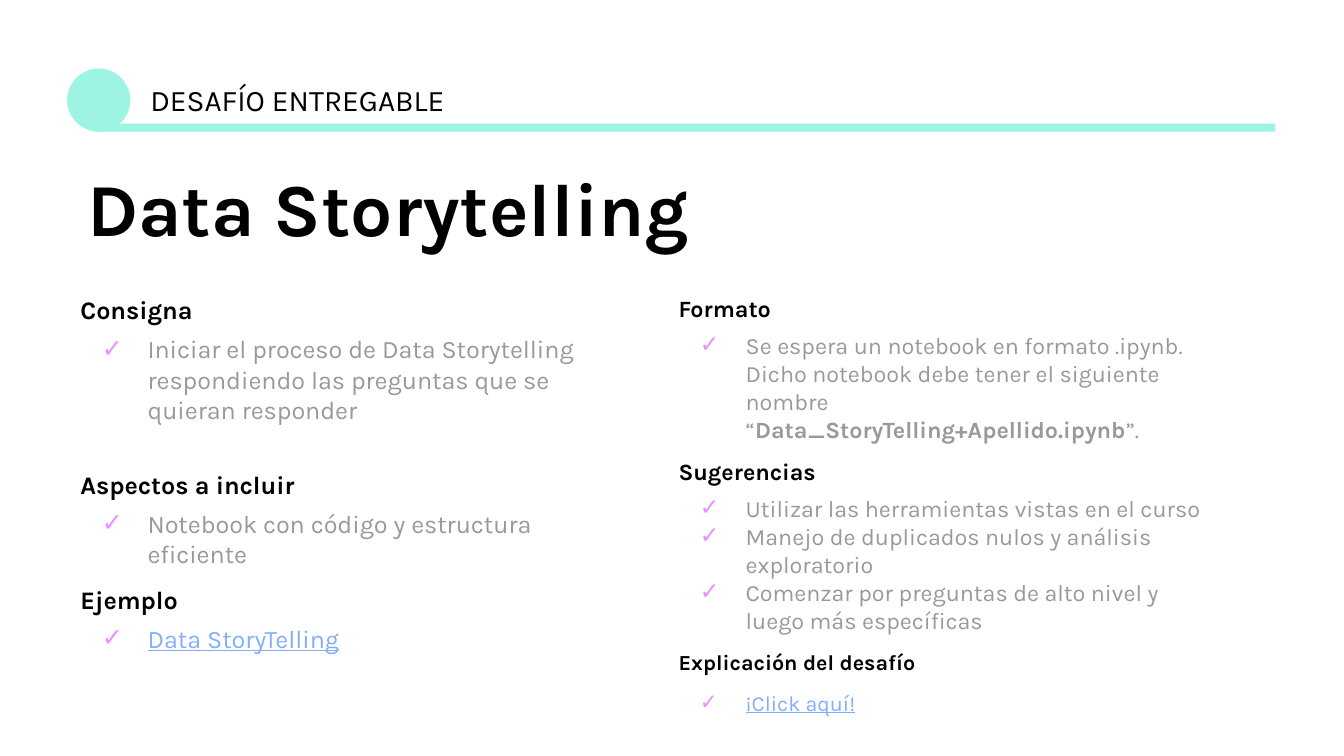
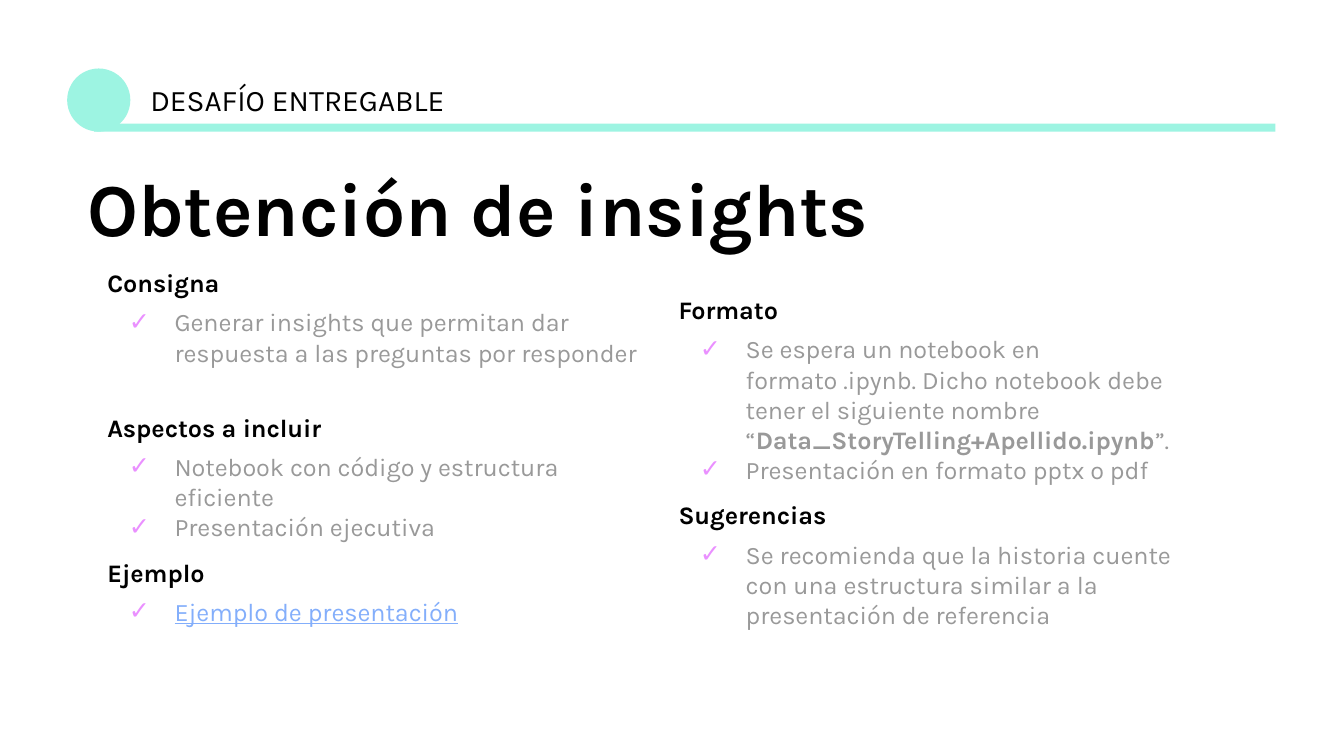
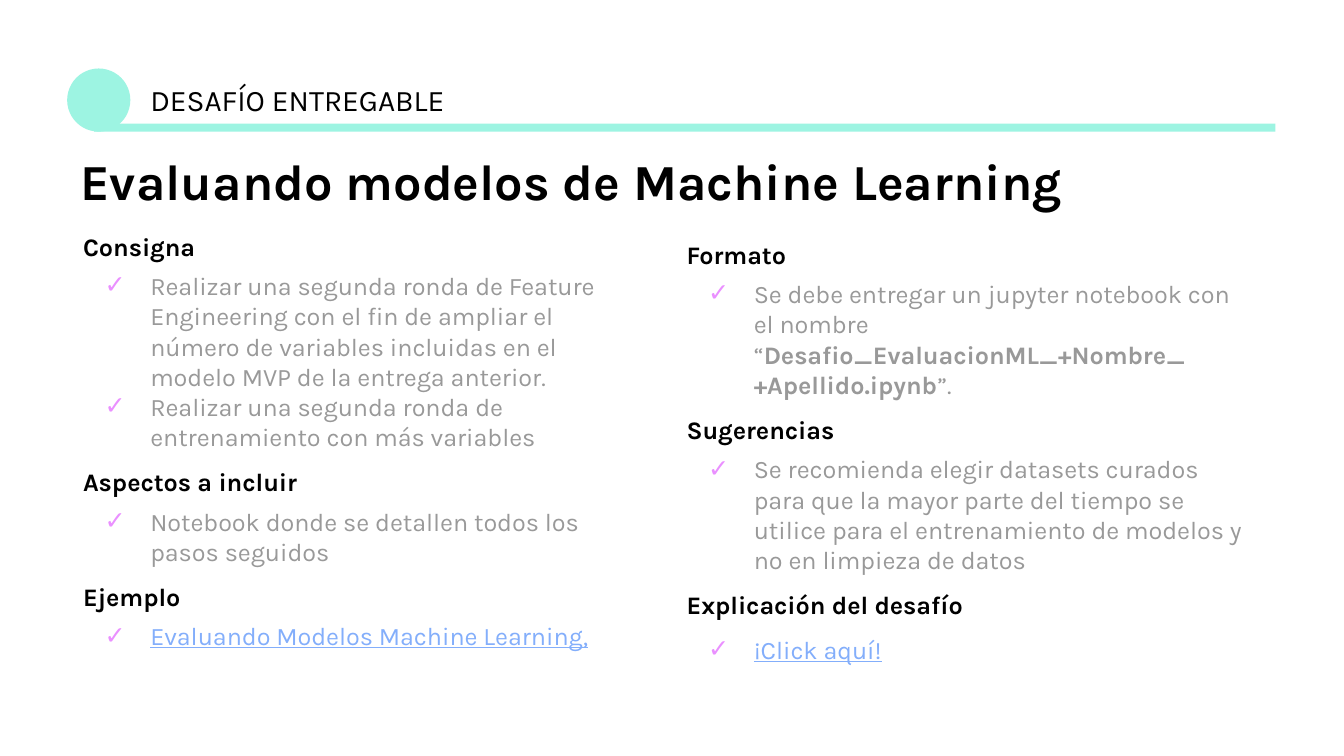
from lxml.etree import SubElement
from pptx import Presentation
from pptx.dml.color import RGBColor
from pptx.enum.shapes import MSO_SHAPE
from pptx.oxml.ns import qn
from pptx.util import Inches, Pt

COLORS = {
    "mint": "9DF4E2",
    "black": "000000",
    "gray": "999999",
    "link": "83AEFB",
    "check": "EA90FF",
}
FONT = "Karla"

SLIDES = [
    {
        "title": "Data Storytelling",
        "title_at": (0.55, 1.18, 7.99, 0.81),
        "title_size": 40,
        "columns": [
            {
                "at": (0.5, 2.09, 4.19, 2.9),
                "size": 13.5,
                "lines": [
                    ("head", "Consigna"),
                    ("item", "Iniciar el proceso de Data Storytelling respondiendo las preguntas que se quieran responder"),
                    ("head", "Aspectos a incluir", {"before": 24}),
                    ("item", "Notebook con código y estructura eficiente"),
                    ("head", "Ejemplo"),
                    ("link", "Data StoryTelling"),
                ],
            },
            {
                "at": (4.95, 2.09, 4.19, 3.37),
                "size": 12.5,
                "lines": [
                    ("head", "Formato"),
                    ("item", "Se espera un notebook en formato .ipynb. Dicho notebook debe tener el siguiente nombre “**Data_StoryTelling+Apellido.ipynb**”."),
                    ("head", "Sugerencias"),
                    ("item", "Utilizar las herramientas vistas en el curso"),
                    ("item", "Manejo de duplicados nulos y análisis exploratorio"),
                    ("item", "Comenzar por preguntas de alto nivel y luego más específicas"),
                    ("head", "Explicación del desafío", {"size": 11.5}),
                    ("link", "¡Click aquí!", {"size": 11.5, "before": 8}),
                ],
            },
        ],
    },
    {
        "title": "Obtención de insights",
        "title_at": (0.55, 1.18, 7.99, 0.81),
        "title_size": 40,
        "columns": [
            {
                "at": (0.7, 1.89, 4.19, 3.13),
                "size": 13.5,
                "lines": [
                    ("head", "Consigna"),
                    ("item", "Generar insights que permitan dar respuesta a las preguntas por responder"),
                    ("head", "Aspectos a incluir", {"before": 24}),
                    ("item", "Notebook con código y estructura eficiente"),
                    ("item", "Presentación ejecutiva"),
                    ("head", "Ejemplo"),
                    ("link", "Ejemplo de presentación"),
                ],
            },
            {
                "at": (4.95, 2.09, 4.19, 2.72),
                "size": 13.5,
                "lines": [
                    ("head", "Formato"),
                    ("item", "Se espera un notebook en formato .ipynb. Dicho notebook debe tener el siguiente nombre “**Data_StoryTelling+Apellido.ipynb**”."),
                    ("item", "Presentación en formato pptx o pdf"),
                    ("head", "Sugerencias"),
                    ("item", "Se recomienda que la historia cuente con una estructura similar a la presentación de referencia"),
                ],
            },
        ],
    },
    {
        "title": "Evaluando modelos de Machine Learning",
        "title_at": (0.5, 1.07, 8.7, 0.61),
        "title_size": 27,
        "columns": [
            {
                "at": (0.52, 1.62, 4.4, 3.36),
                "size": 13.5,
                "lines": [
                    ("head", "Consigna"),
                    ("item", "Realizar una segunda ronda de Feature Engineering con el fin de ampliar el número de variables incluidas en el modelo MVP de la entrega anterior."),
                    ("item", "Realizar una segunda ronda de entrenamiento con más variables"),
                    ("head", "Aspectos a incluir"),
                    ("item", "Notebook donde se detallen todos los pasos seguidos"),
                    ("head", "Ejemplo"),
                    ("link", "Evaluando Modelos Machine Learning,"),
                ],
            },
            {
                "at": (5.01, 1.68, 4.41, 3.4),
                "size": 13.5,
                "lines": [
                    ("head", "Formato"),
                    ("item", "Se debe entregar un jupyter notebook con el nombre “**Desafio_EvaluacionML_+Nombre_ +Apellido.ipynb**”."),
                    ("head", "Sugerencias"),
                    ("item", "Se recomienda elegir datasets curados para que la mayor parte del tiempo se utilice para el entrenamiento de modelos y no en limpieza de datos"),
                    ("head", "Explicación del desafío"),
                    ("link", "¡Click aquí!", {"before": 8}),
                ],
            },
        ],
    },
]


def add_box(s, at):
    tf = s.shapes.add_textbox(*map(Inches, at)).text_frame
    tf.word_wrap = True
    tf.margin_left = tf.margin_right = Inches(0.1)
    tf.margin_top = tf.margin_bottom = Inches(0.1)
    return tf


def add_text(tf, text, size=13.5, color="black", bold=False, underline=None,
             before=0, spacing=None, bullet=False):
    p = tf.paragraphs[0]
    if p.runs:
        p = tf.add_paragraph()
    if bullet:
        pPr = p._p.get_or_add_pPr()
        pPr.set("marL", str(Inches(0.5)))
        pPr.set("indent", str(Inches(-0.34)))
        SubElement(SubElement(pPr, qn("a:buClr")), qn("a:srgbClr"), val=COLORS["check"])
        SubElement(pPr, qn("a:buFont"), typeface=FONT)
        SubElement(pPr, qn("a:buChar"), char="✓")
    if before:
        p.space_before = Pt(before)
    if spacing:
        p.line_spacing = spacing
    for i, part in enumerate(text.split("**")):
        r = p.add_run()
        r.text = part
        r.font.name = FONT
        r.font.size = Pt(size)
        r.font.bold = bold or i % 2 == 1
        r.font.underline = underline
        r.font.color.rgb = RGBColor.from_string(COLORS[color])


STYLES = {
    "head": {"bold": True},
    "item": {"color": "gray", "bullet": True},
    "link": {"color": "link", "underline": True, "bullet": True},
}

prs = Presentation()
prs.slide_width = Inches(10)
prs.slide_height = Inches(10) * 9 // 16

for content in SLIDES:
    s = prs.slides.add_slide(prs.slide_layouts[6])

    for kind, at in (
        (MSO_SHAPE.OVAL, (0.5, 0.51, 0.47, 0.47)),
        (MSO_SHAPE.RECTANGLE, (0.7, 0.92, 8.79, 0.06)),
    ):
        sp = s.shapes.add_shape(kind, *map(Inches, at))
        sp.shadow.inherit = False
        sp.fill.solid()
        sp.fill.fore_color.rgb = RGBColor.from_string(COLORS["mint"])
        sp.line.fill.background()

    add_text(add_box(s, (1.02, 0.51, 2.69, 0.47)), "DESAFÍO ENTREGABLE", size=16)
    add_text(add_box(s, content["title_at"]), content["title"],
             size=content["title_size"], bold=True, spacing=0.9)

    for column in content["columns"]:
        tf = add_box(s, column["at"])
        size = column["size"]
        previous = None
        for kind, text, *extra in column["lines"]:
            if kind == "head":
                before = 8 if previous else 0
            else:
                before = round(size * 0.36, 1) if previous == "head" else 0
            fmt = {"size": size, "before": before, **STYLES[kind]}
            for override in extra:
                fmt.update(override)
            add_text(tf, text, **fmt)
            previous = kind

prs.save("out.pptx")
